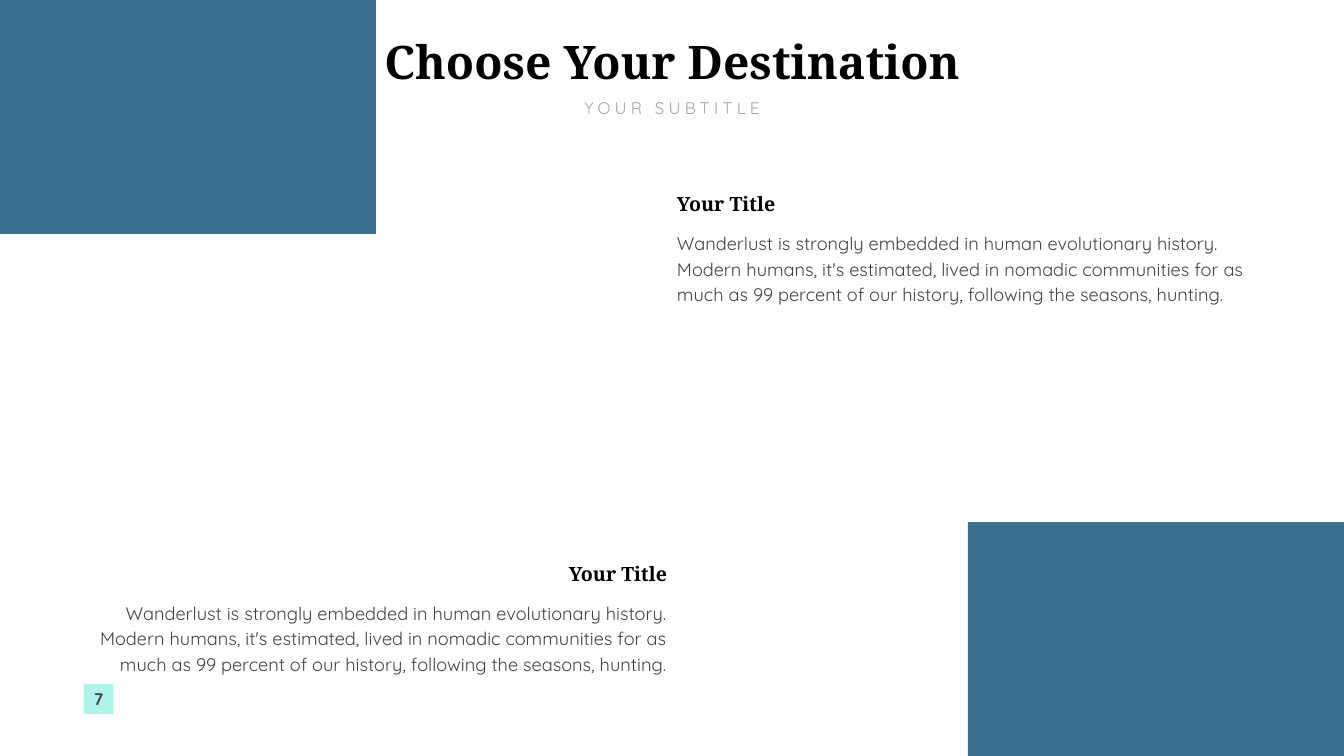
import pptx
import pptx.dml.color
import pptx.enum.shapes
import pptx.enum.text
import pptx.util

Pt = pptx.util.Pt
ALIGN = pptx.enum.text.PP_ALIGN
ANCHOR = pptx.enum.text.MSO_ANCHOR

WIDTH, HEIGHT = 1919.5, 1080
SERIF, SANS = "Noto Serif", "Quicksand"
BLUE, MINT, BLACK, DARK, GREY = "3A708D", "B0F3E7", "000000", "424242", "A6A6A6"

TITLE = "Choose Your Destination"
SUBTITLE = "YOUR SUBTITLE"
PAGE = "7"
STORY = (
    "Wanderlust is strongly embedded in human evolutionary history. "
    "Modern humans, it's estimated, lived in nomadic communities for as "
    "much as 99 percent of our history, following the seasons, hunting."
)
# heading, body, alignment, top
BLOCKS = [
    ("Your Title", STORY, ALIGN.RIGHT, 793.5),
    ("Your Title", STORY, ALIGN.LEFT, 265),
]

MID = WIDTH / 2
MARGIN = 119.5
PANEL_W, PANEL_H = 537, 334
HEAD_W, HEAD_H = 158.5, 45.5
BODY_W, BODY_H, BODY_DROP = 840, 118, 57


def color(code):
    return pptx.dml.color.RGBColor.from_string(code)


def block(x, y, w, h, fill):
    shape = slide.shapes.add_shape(
        pptx.enum.shapes.MSO_SHAPE.RECTANGLE, Pt(x), Pt(y), Pt(w), Pt(h))
    shape.shadow.inherit = False
    shape.fill.solid()
    shape.fill.fore_color.rgb = color(fill)
    shape.line.fill.background()
    return shape


def box(x, y, w, h):
    return slide.shapes.add_textbox(Pt(x), Pt(y), Pt(w), Pt(h))


def write(shape, text, font, size, ink, align, bold=False,
          wrap=False, anchor=ANCHOR.TOP, line=None):
    """Fill a shape with one formatted paragraph and return its run."""
    frame = shape.text_frame
    frame.text = text
    frame.word_wrap = wrap
    frame.auto_size = pptx.enum.text.MSO_AUTO_SIZE.SHAPE_TO_FIT_TEXT
    frame.vertical_anchor = anchor
    para = frame.paragraphs[0]
    para.alignment = align
    para.space_before = Pt(0)
    para.line_spacing = line
    run = para.runs[0]
    run.font.name = font
    run.font.size = Pt(size)
    run.font.bold = bold
    run.font.color.rgb = color(ink)
    return run


deck = pptx.Presentation()
deck.slide_width, deck.slide_height = Pt(WIDTH), Pt(HEIGHT)
slide = deck.slides.add_slide(deck.slide_layouts[5])

page = block(MARGIN, 977, 42.5, 43, MINT)
write(page, PAGE, SANS, 24, DARK, ALIGN.CENTER, bold=True, anchor=ANCHOR.MIDDLE)

block(0, 0, PANEL_W, PANEL_H, BLUE)
block(WIDTH - PANEL_W, HEIGHT - PANEL_H, PANEL_W, PANEL_H, BLUE)

title = slide.shapes.title
title.left, title.top = Pt(MID - 424.5), Pt(48)
title.width, title.height = Pt(849), Pt(87)
title.text_frame.margin_top = title.text_frame.margin_bottom = Pt(0)
write(title, TITLE, SERIF, 66, BLACK, ALIGN.CENTER, bold=True)

sub = box(MID - 139, 135.5, 278, 36)
run = write(sub, SUBTITLE, SANS, 24, GREY, ALIGN.CENTER)
run.font._element.set("spc", "600")

for head, body, align, top in BLOCKS:
    right = align == ALIGN.RIGHT
    write(box(MID - HEAD_W * right, top, HEAD_W, HEAD_H), head, SERIF, 28, BLACK,
          align, bold=True, anchor=ANCHOR.MIDDLE, line=1.2)
    write(box(MID - BODY_W * right, top + BODY_DROP, BODY_W, BODY_H), body, SANS, 26,
          DARK, align, wrap=True, line=Pt(37))

deck.save("out.pptx")
